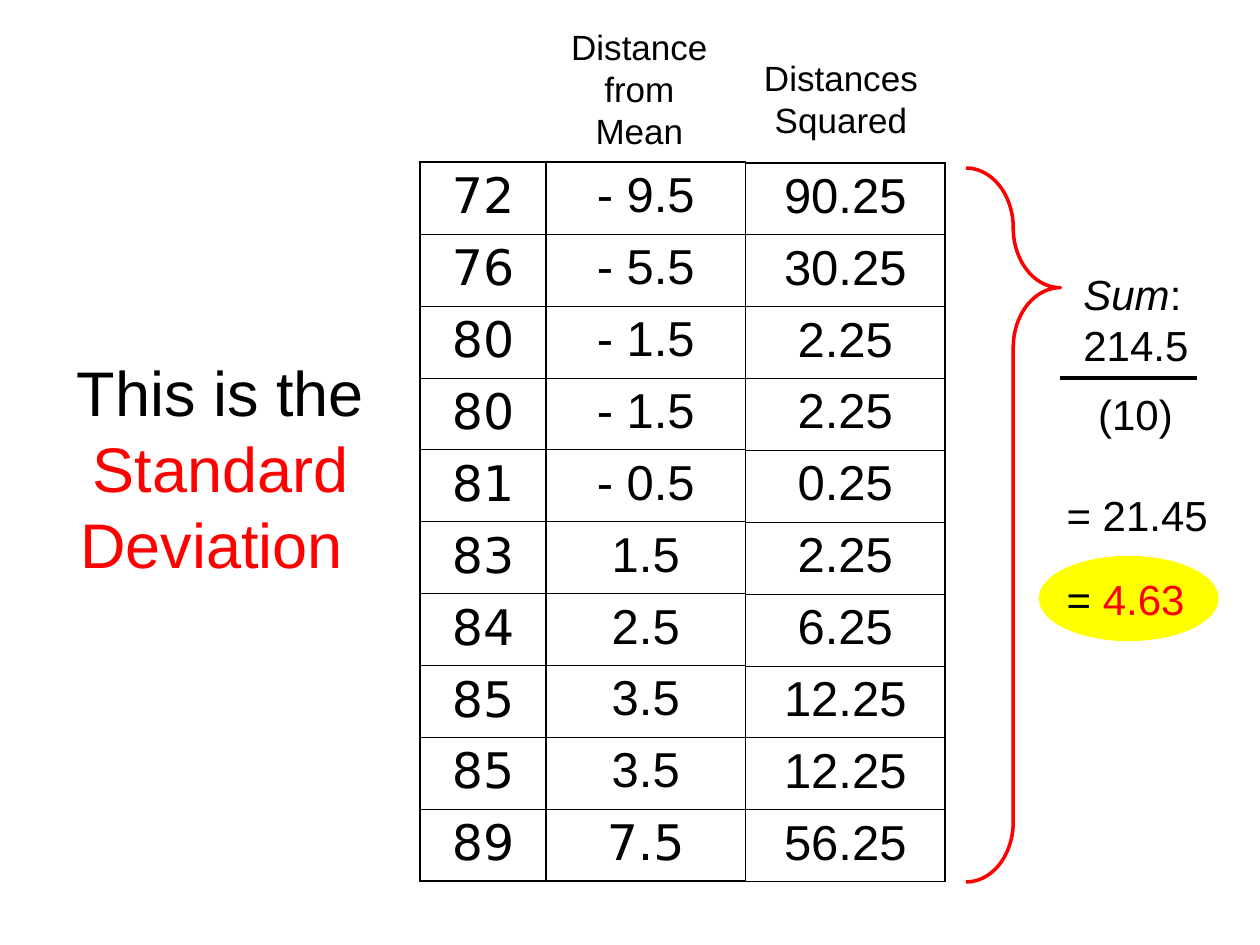
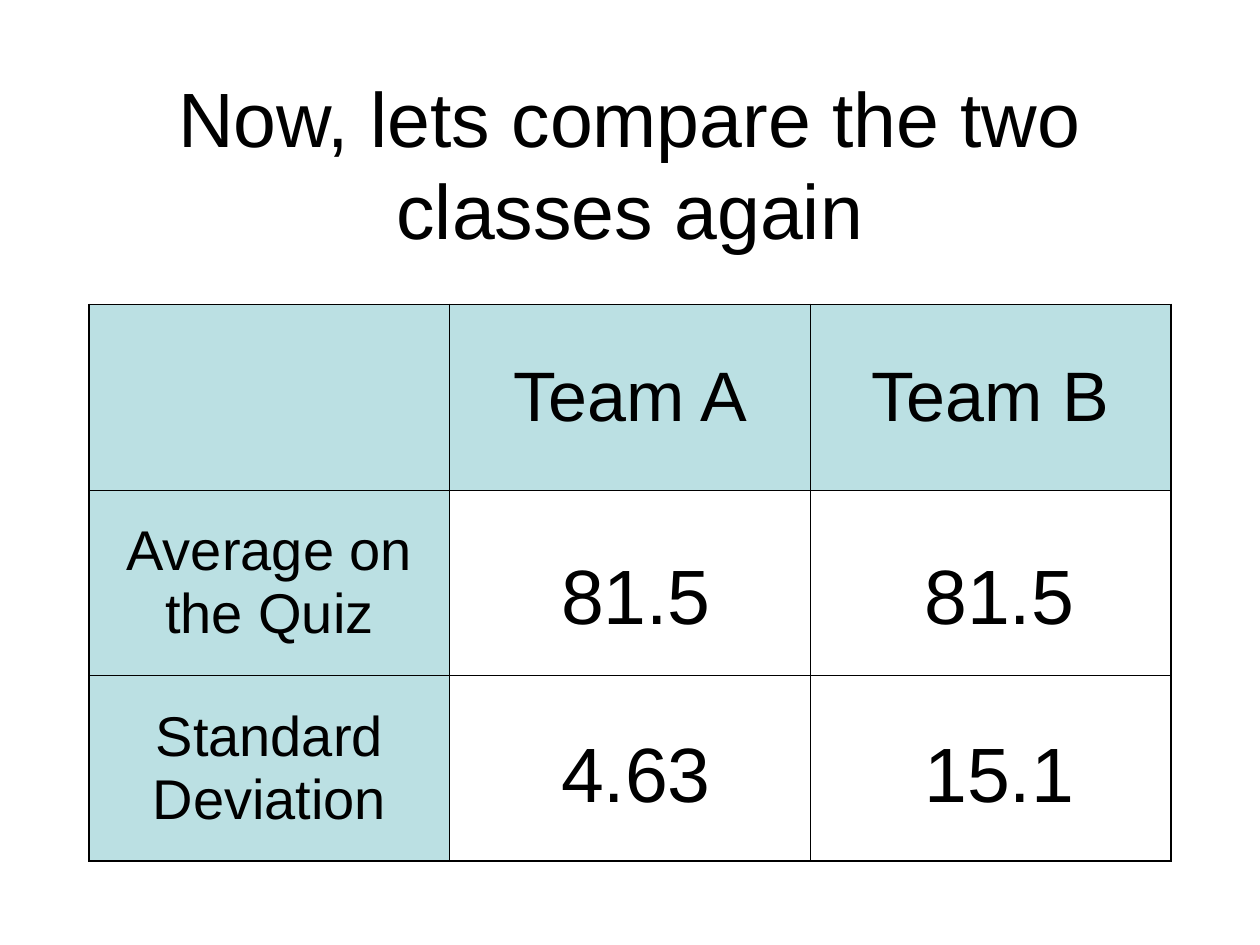
"""Builds two slides on standard deviation: the worked sum and the class comparison."""
import dataclasses

import pptx
import pptx.dml.color
import pptx.enum.shapes
import pptx.enum.text
import pptx.oxml
import pptx.oxml.ns
import pptx.util


@dataclasses.dataclass(frozen=True)
class Theme:
    ink: str = "000000"
    accent: str = "FF0000"
    highlight: str = "FFFF00"
    header: str = "BBE0E3"
    font: str = "Arial"
    score_font: str = "DejaVu Sans"
    title: int = 44
    side_title: int = 36
    team: int = 40
    row_label: int = 32
    score: int = 28
    sum: int = 24
    column_label: int = 20
    outer_border: float = 1.08
    inner_border: float = 0.45
    stroke: float = 2


THEME = Theme()
SLIDE_COLUMNS, SLIDE_ROWS = 120, 90
UNIT = pptx.util.Inches(10) // SLIDE_COLUMNS
ALIGN = pptx.enum.text.PP_ALIGN
ANCHOR = pptx.enum.text.MSO_ANCHOR
SHAPES = pptx.enum.shapes.MSO_SHAPE

DEVIATION_TITLE = [["This is the ", ("Standard Deviation ", {"color": THEME.accent})]]
SCORES = ["72", "76", "80", "80", "81", "83", "84", "85", "85", "89"]
DISTANCES = ["- 9.5", "- 5.5", "- 1.5", "- 1.5", "- 0.5", "1.5", "2.5", "3.5", "3.5",
             [[("7.5", {"font": THEME.score_font})]]]
SQUARES = ["90.25", "30.25", "2.25", "2.25", "0.25", "2.25", "6.25", "12.25", "12.25", "56.25"]
SCORE_COLUMNS = [
    (40, 15.45, 12, SCORES, THEME.score_font),
    (52, 15.45, 19, DISTANCES, THEME.font),
    (71, 15.5, 19, SQUARES, THEME.font),
]
SCORE_ROW = 6.85
COLUMN_LABELS = [
    ("Distance from Mean", (51.8, 1.8, 18.2, 13.2)),
    ("Distances Squared", (71, 4.8, 18.2, 9.2)),
]
SUM_STEPS = [
    ([[("Sum", {"italic": True}), ":"], ["214.5"]], (102, 25, 12.4, 10.8)),
    ("(10)", (103.4, 36.4, 9.5, 6)),
    ("= 21.45", (100.4, 46, 17, 6)),
    ([["= ", ("4.63", {"color": THEME.accent})]], (100.4, 54, 13.6, 6)),
]
COMPARE_TITLE = "Now, lets compare the two classes again"
COMPARISON = [
    ["", "Team A", "Team B"],
    ["Average on the Quiz", "", ""],
    ["Standard Deviation", "", ""],
]
TEAM_VALUES = [
    (["81.5", "81.5"], (9, 49, 102, 15)),
    (["4.63", "15.1"], (9, 66, 102, 15)),
]
TEAM_TABS = (50.4, 85)


def grid(*lengths):
    return [round(length * UNIT) for length in lengths]


def rgb(color):
    return pptx.dml.color.RGBColor.from_string(color)


def write(frame, content, size, font=THEME.font, color=THEME.ink, align=ALIGN.CENTER, tabs=()):
    """Fill a text frame from a string or a list of paragraphs made of runs."""
    paragraphs = [[content]] if isinstance(content, str) else content
    for number, pieces in enumerate(paragraphs):
        paragraph = frame.add_paragraph() if number else frame.paragraphs[0]
        paragraph.alignment = align
        if tabs:
            stops = "".join(f'<a:tab pos="{stop}" algn="ctr"/>' for stop in grid(*tabs))
            paragraph._p.get_or_add_pPr().append(pptx.oxml.parse_xml(
                f'<a:tabLst {pptx.oxml.ns.nsdecls("a")}>{stops}</a:tabLst>'))
        for piece in pieces:
            words, change = (piece, {}) if isinstance(piece, str) else piece
            run = paragraph.add_run()
            run.text = words
            run.font.size = pptx.util.Pt(size)
            run.font.name = change.get("font", font)
            run.font.italic = change.get("italic", False)
            run.font.color.rgb = rgb(change.get("color", color))


def add_title(slide, content, place, size):
    title = slide.shapes.title
    title.left, title.top, title.width, title.height = grid(*place)
    title.text_frame.auto_size = pptx.enum.text.MSO_AUTO_SIZE.NONE
    title.text_frame.vertical_anchor = ANCHOR.MIDDLE
    write(title.text_frame, content, size)


def add_label(slide, content, place, size, wrap=True, anchor=ANCHOR.TOP, **style):
    frame = slide.shapes.add_textbox(*grid(*place)).text_frame
    frame.word_wrap = wrap
    frame.vertical_anchor = anchor
    write(frame, content, size, **style)


def add_preset(slide, kind, place, line, width, fill=None):
    preset = slide.shapes.add_shape(kind, *grid(*place))
    preset.shadow.inherit = False
    preset.line.color.rgb = rgb(line)
    preset.line.width = pptx.util.Pt(width)
    if fill:
        preset.fill.solid()
        preset.fill.fore_color.rgb = rgb(fill)
    else:
        preset.fill.background()
    return preset


def border_cell(cell, outer_sides):
    for side in "LRTB":
        points = THEME.outer_border if side in outer_sides else THEME.inner_border
        cell._tc.get_or_add_tcPr().append(pptx.oxml.parse_xml(
            f'<a:ln{side} {pptx.oxml.ns.nsdecls("a")} w="{pptx.util.Pt(points)}">'
            f'<a:solidFill><a:srgbClr val="{THEME.ink}"/></a:solidFill></a:ln{side}>'))


def add_grid_table(slide, place, row_count, column_count):
    """Add a plain table with heavy outer and fine inner borders."""
    table = slide.shapes.add_table(row_count, column_count, *grid(*place)).table
    table.first_row = table.horz_banding = False
    for r in range(row_count):
        for c in range(column_count):
            edges = {"L": c == 0, "R": c == column_count - 1,
                     "T": r == 0, "B": r == row_count - 1}
            cell = table.cell(r, c)
            border_cell(cell, [side for side, outer in edges.items() if outer])
            cell.fill.background()
    return table


def build_deviation(slide):
    add_preset(slide, SHAPES.OVAL, (99, 53, 17, 8), THEME.highlight, 0.75, THEME.highlight)
    add_title(slide, DEVIATION_TITLE, (5, 8, 32, 73), THEME.side_title)
    for left, top, width, values, font in SCORE_COLUMNS:
        place = (left, top, width, SCORE_ROW * len(values))
        table = add_grid_table(slide, place, len(values), 1)
        for r, value in enumerate(values):
            write(table.cell(r, 0).text_frame, value, THEME.score, font=font)
    for label, place in COLUMN_LABELS:
        add_label(slide, label, place, THEME.column_label)
    brace = add_preset(slide, SHAPES.RIGHT_BRACE, (92, 16, 9, 68), THEME.accent, THEME.stroke)
    brace.adjustments[0], brace.adjustments[1] = 5.7 / 9, 11.4 / 68
    for step, place in SUM_STEPS:
        add_label(slide, step, place, THEME.sum, wrap=False, align=ALIGN.LEFT)
    fraction_bar = slide.shapes.add_connector(
        pptx.enum.shapes.MSO_CONNECTOR.STRAIGHT, *grid(101, 36, 114, 36))
    fraction_bar.line.color.rgb = rgb(THEME.ink)
    fraction_bar.line.width = pptx.util.Pt(THEME.stroke)
    fraction_bar._element.spPr.append(
        pptx.oxml.parse_xml(f'<a:effectLst {pptx.oxml.ns.nsdecls("a")}/>'))


def build_comparison(slide):
    add_title(slide, COMPARE_TITLE, (9, 8, 102, 15), THEME.title)
    table = add_grid_table(slide, (8.5, 29, 103, 53), len(COMPARISON), len(COMPARISON[0]))
    for r, row in enumerate(COMPARISON):
        for c, content in enumerate(row):
            cell = table.cell(r, c)
            cell.vertical_anchor = ANCHOR.MIDDLE
            if r == 0 or c == 0:
                cell.fill.solid()
                cell.fill.fore_color.rgb = rgb(THEME.header)
            if content:
                write(cell.text_frame, content, THEME.row_label if r else THEME.team)
    for values, place in TEAM_VALUES:
        tabbed = "".join(f"\t{value}" for value in values)
        add_label(slide, tabbed, place, THEME.title, anchor=ANCHOR.MIDDLE,
                  align=ALIGN.LEFT, tabs=TEAM_TABS)


def main():
    deck = pptx.Presentation()
    deck.slide_width, deck.slide_height = grid(SLIDE_COLUMNS, SLIDE_ROWS)
    title_only = deck.slide_layouts[5]
    for build in (build_deviation, build_comparison):
        build(deck.slides.add_slide(title_only))
    deck.save("out.pptx")


if __name__ == "__main__":
    main()
